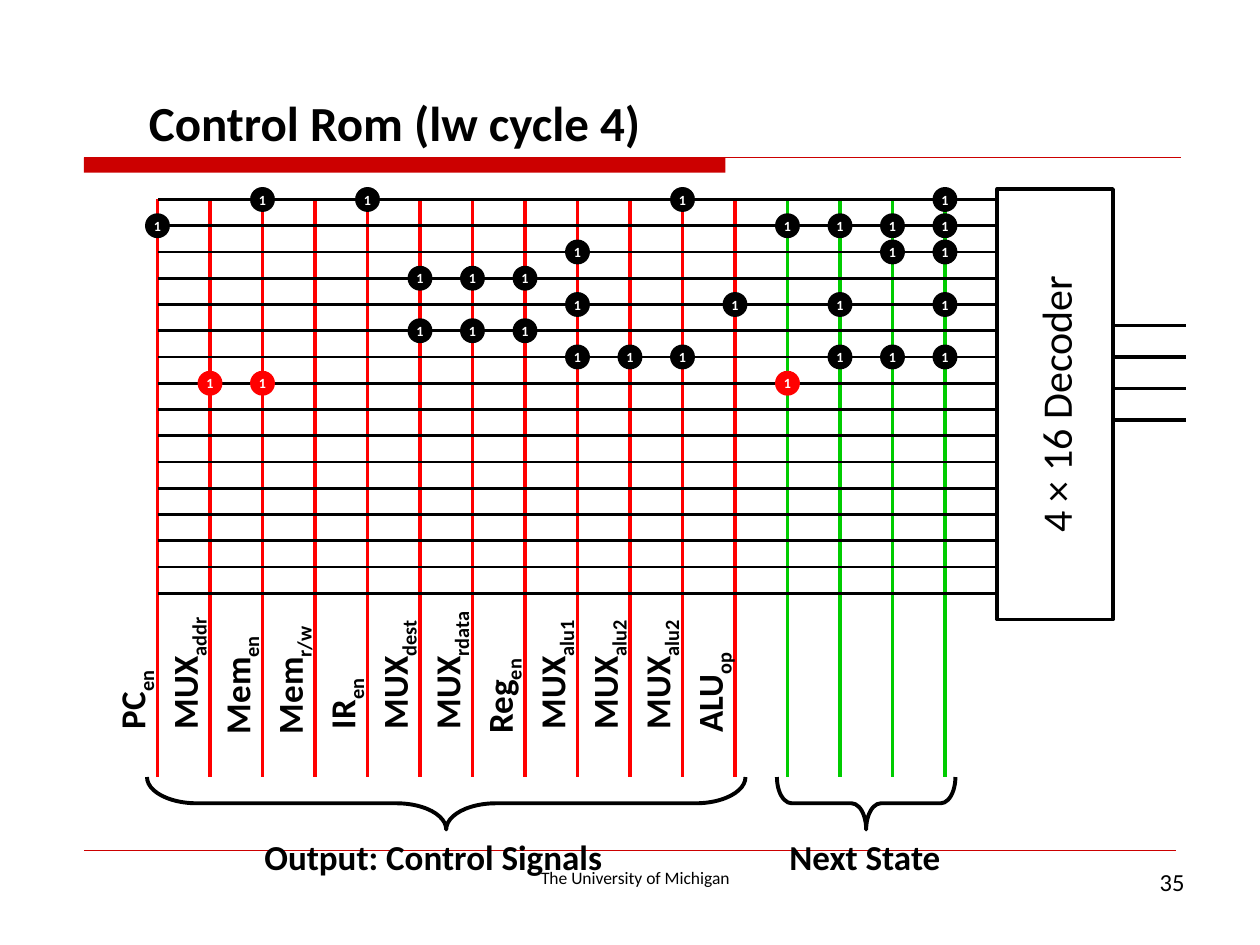
from lxml import etree
from pptx import Presentation
from pptx.dml.color import RGBColor
from pptx.enum.shapes import MSO_CONNECTOR, MSO_SHAPE as SHAPE
from pptx.enum.text import MSO_ANCHOR as ANCHOR, PP_ALIGN as ALIGN
from pptx.oxml.ns import qn
from pptx.util import Pt

colour = RGBColor.from_string
presentation = Presentation()
presentation.slide_width, presentation.slide_height = Pt(720), Pt(540)
slide = presentation.slides.add_slide(presentation.slide_layouts[6])
shapes = slide.shapes


def add_line(x1, y1, x2, y2, hex_colour, width):
    line = shapes.add_connector(MSO_CONNECTOR.STRAIGHT, Pt(x1), Pt(y1), Pt(x2), Pt(y2))
    line.line.color.rgb = colour(hex_colour)
    line.line.width = Pt(width)
    etree.SubElement(line._element.spPr, qn("a:effectLst"))


def write(shape, text, size, bold=False, align=ALIGN.LEFT, anchor=ANCHOR.TOP,
          hex_colour="000000", subscript="", wrap=False):
    frame = shape.text_frame
    frame.word_wrap = wrap
    frame.vertical_anchor = anchor
    paragraph = frame.paragraphs[0]
    paragraph.alignment = align
    for part in filter(None, (text, subscript)):
        run = paragraph.add_run()
        run.text = part
        run.font.color.rgb = colour(hex_colour)
        for name, value in {"name": "Calibri", "size": Pt(size), "bold": bold}.items():
            setattr(run.font, name, value)
    if subscript:
        run.font._element.set("baseline", "-25000")


title_bar = shapes.add_shape(SHAPE.RECTANGLE, Pt(48), Pt(90), Pt(366.5), Pt(8.7))
title_bar.shadow.inherit = False
title_bar.fill.solid()
title_bar.fill.fore_color.rgb = colour("CC0000")
title_bar.line.fill.background()
add_line(48, 90, 674.6, 90, "CC0000", 0.75)
add_line(48, 486, 672, 486, "CC0000", 0.25)

text_boxes = [
    ("The University of Michigan", (228, 492, 270, 19.5), {"size": 10, "align": ALIGN.CENTER}),
    ("35", (516, 492, 168, 37.5), {"size": 14, "align": ALIGN.RIGHT}),
    ("Control Rom (lw cycle 4)", (78, 0, 600, 90),
     {"size": 28, "bold": True, "anchor": ANCHOR.BOTTOM}),
    ("Output: Control Signals", (144, 474, 208.8, 31.5), {"size": 20, "bold": True}),
    ("Next State", (444, 474, 103, 31.5), {"size": 20, "bold": True}),
]
for text, box, formats in text_boxes:
    write(shapes.add_textbox(*map(Pt, box)), text, wrap=True, **formats)

decoder = shapes.add_shape(SHAPE.RECTANGLE, Pt(480), Pt(198), Pt(246), Pt(66))
write(decoder, "4 × 16 Decoder", 24, align=ALIGN.CENTER, anchor=ANCHOR.MIDDLE)
signal_brace = shapes.add_shape(SHAPE.LEFT_BRACE, Pt(240), Pt(288), Pt(30), Pt(342))
signal_brace.adjustments[0] = 0.95
state_brace = shapes.add_shape(SHAPE.LEFT_BRACE, Pt(480), Pt(408), Pt(30), Pt(102))
state_brace.adjustments[0] = 0.28
for shape in (decoder, signal_brace, state_brace):
    shape.rotation = 270
    shape.shadow.inherit = False
    shape.fill.background()
    shape.line.color.rgb = colour("000000")
    shape.line.width = Pt(2.25)

left, top, column_gap, row_gap = 90, 114, 30, 15
signals = [
    ("PC", "en", 49.7, 423.7), ("MUX", "addr", 84.2, 423.7),
    ("Mem", "en", 72.7, 426.6), ("Mem", "r/w", 79.2, 426.6),
    ("IR", "en", 44.6, 423.7), ("MUX", "dest", 79.9, 423.7),
    ("MUX", "rdata", 87.8, 423.7), ("Reg", "en", 61.2, 426.3),
    ("MUX", "alu1", 81.4, 423.7), ("MUX", "alu2", 81.4, 423.7),
    ("MUX", "alu2", 81.4, 423.7), ("ALU", "op", 70.6, 425.9),
]
for column in range(16):
    x = left + column * column_gap
    add_line(x, top, x, 444, "FF0000" if column < len(signals) else "00CC00", 2.25)
for row in range(16):
    y = top + row * row_gap
    add_line(570, y, left, y, "000000", 1.5)
for wire in range(4):
    y = 186 + wire * 18
    add_line(636, y, 678, y, "000000", 2.25)

label_height = 31.5
for column, (text, subscript, length, bottom) in enumerate(signals):
    center_x = left + column * column_gap - 14.7
    label = shapes.add_textbox(Pt(center_x - length / 2), Pt(bottom - length / 2 - label_height / 2),
                               Pt(length), Pt(label_height))
    label.rotation = 270
    write(label, text, 20, bold=True, subscript=subscript)

ones_by_row = [
    (2, 4, 10, 15), (0, 12, 13, 14, 15), (8, 14, 15), (5, 6, 7),
    (8, 11, 13, 15), (5, 6, 7), (8, 9, 10, 13, 14, 15), (1, 2, 12),
]
current_row, diameter = 7, 12
for row, columns in enumerate(ones_by_row):
    dot_colour = colour("FF0000" if row == current_row else "000000")
    for column in columns:
        dot = shapes.add_shape(SHAPE.OVAL, Pt(left + column * column_gap - diameter / 2),
                               Pt(top + row * row_gap - diameter / 2), Pt(diameter), Pt(diameter))
        dot.shadow.inherit = False
        dot.fill.solid()
        dot.fill.fore_color.rgb = dot_colour
        dot.line.color.rgb = dot_colour
        dot.line.width = Pt(2.25)
        write(dot, "1", 8, bold=True, align=ALIGN.CENTER, anchor=ANCHOR.MIDDLE, hex_colour="FFFFFF")

presentation.save("out.pptx")
